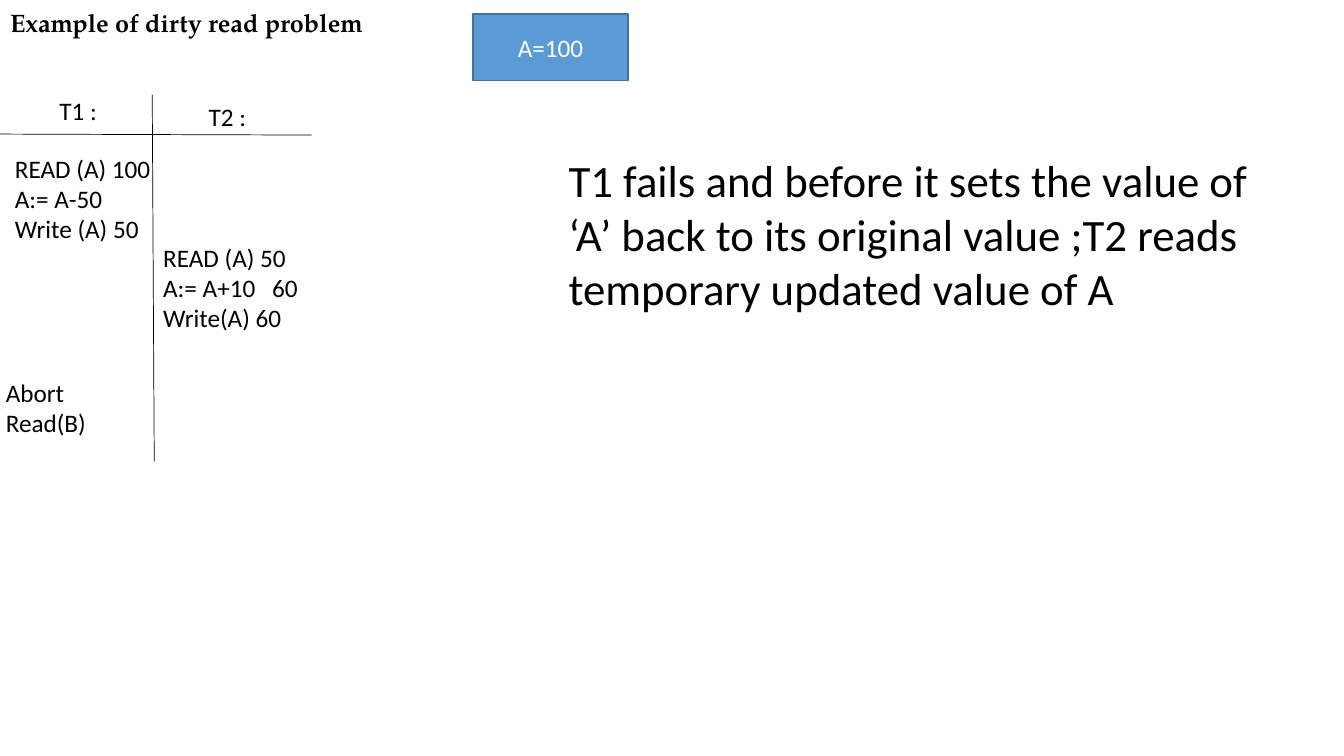
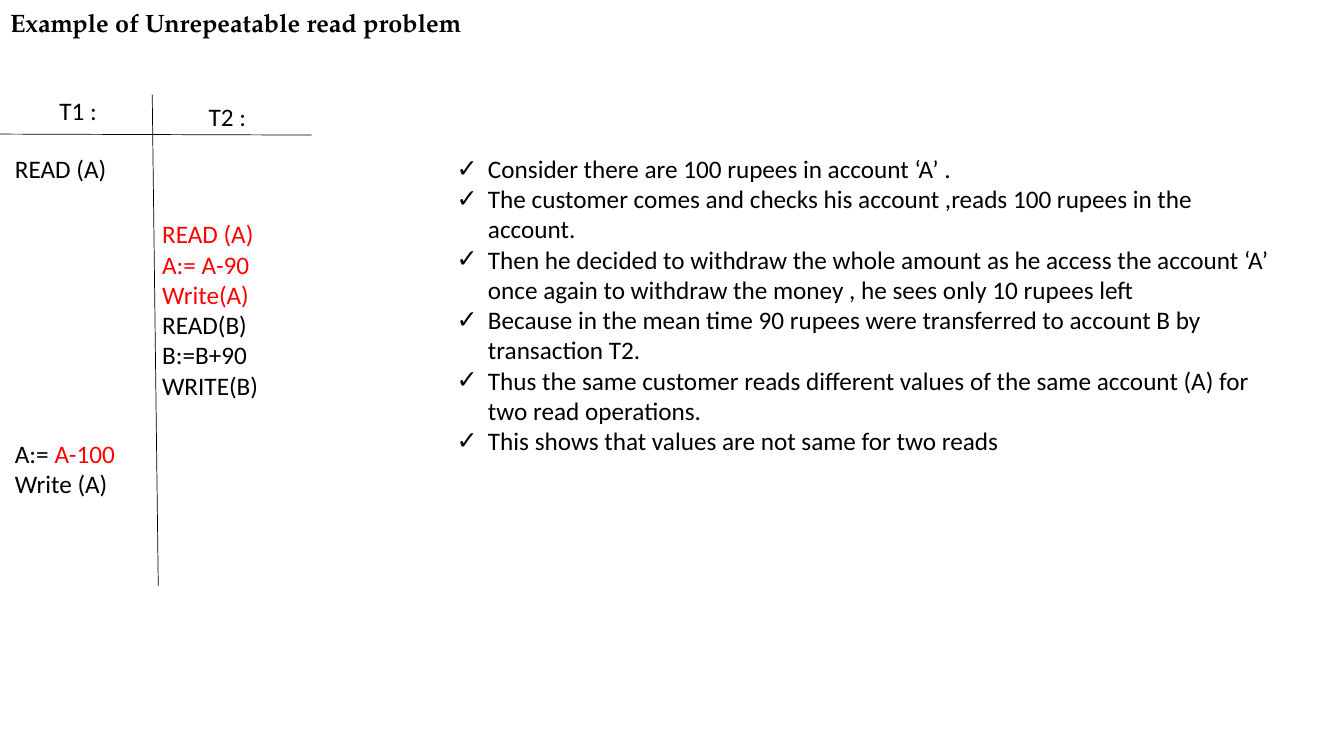
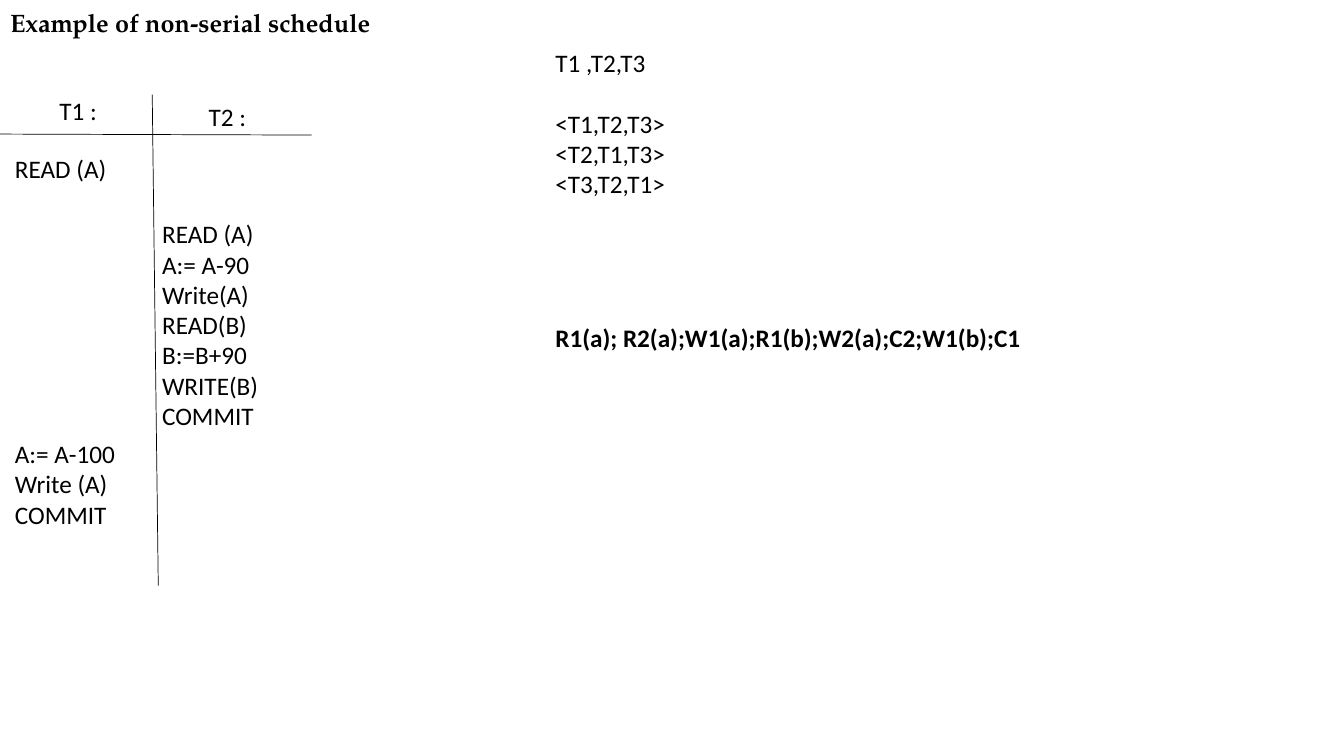
"""Build three slides on transaction schedules and read problems."""
from lxml import etree
from pptx import Presentation
from pptx import util as u
from pptx.dml.color import RGBColor
from pptx.enum import shapes, text
from pptx.oxml.ns import qn

PX = 9144
COLOURS = {"ink": "000000", "red": "FF0000", "white": "FFFFFF",
           "box": "5B9BD5", "box_edge": "43739E"}
BODY_FONT, TITLE_FONT = "Calibri", "TeX Gyre Pagella"
TITLE_ONLY, TITLE_AND_LIST = 5, 1
HEADERS = [("T1 :", (2, 90, 151, 40)), ("T2 :", (150, 96, 151, 40))]
STEP_WIDTH, STEP_LINE, STEP_PADDING = 243, 30, 10

T2_TRANSFER = ["READ (A)", "A:= A-90", "Write(A)", "READ(B)", "B:=B+90", "WRITE(B)"]
SCHEDULES = [
    {"title": "Example of dirty read problem",
     "divider_end": (153, 458),
     "steps": [
         (5, 147, ["READ (A) 100", "A:= A-50", "Write (A) 50"]),
         (152, 235, ["READ (A) 50", "A:= A+10\t60", "Write(A) 60"]),
         (-4, 369, ["Abort", "Read(B)"])],
     "start_value": ("A=100", (469, 14, 154, 66)),
     "remarks": ((554, 147, 719, 172), 32, [
         (0, False, ["T1 fails and before it sets the value of ‘A’ back to its "
                     "original value ;T2 reads temporary updated value of A"])])},
    {"title": "Example of Unrepeatable read problem",
     "divider_end": (157, 581),
     "steps": [
         (5, 147, ["READ (A)"]),
         (151, 212, [[(step, "red")] for step in T2_TRANSFER[:3]] + T2_TRANSFER[3:]),
         (5, 430, [[("A:= ", "ink"), ("A-100", "red")], "Write (A)"])],
     "points": ((443, 147, 830, 374), [
         "Consider there are 100 rupees in account ‘A’ .",
         "The customer comes and checks his account ,reads 100 rupees in the account.",
         "Then he decided to withdraw the whole amount as he access the account ‘A’ "
         "once again to withdraw the money , he sees only 10 rupees left",
         "Because in the mean time 90 rupees were transferred to account B by "
         "transaction T2.",
         "Thus the same customer reads different values of the same account (A) for "
         "two read operations.",
         "This shows that values are not same for two reads"])},
    {"title": "Example of non-serial schedule",
     "divider_end": (157, 581),
     "steps": [
         (5, 147, ["READ (A)"]),
         (151, 212, T2_TRANSFER + ["COMMIT"]),
         (5, 430, ["A:= A-100", "Write (A)", "COMMIT"])],
     "remarks": ((541, 42, 679, 343), 18, [
         (0, False, ["T1 ,T2,T3"]),
         (22, False, ["<T1,T2,T3>", "<T2,T1,T3>", "<T3,T2,T1>"]),
         (88, True, ["R1(a); R2(a);W1(a);R1(b);W2(a);C2;W1(b);C1"])])},
]


def colour(name):
    return RGBColor.from_string(COLOURS[name])


def place(shape, box):
    shape.left, shape.top, shape.width, shape.height = [v * PX for v in box]


def write(shape, lines, size=18, font=BODY_FONT, ink="ink", bold=False, align="LEFT",
          anchor="TOP", before=0, bullet=None, indent=31, tab=108):
    frame = shape.text_frame
    frame.word_wrap = True
    frame.auto_size = text.MSO_AUTO_SIZE.NONE
    frame.vertical_anchor = text.MSO_ANCHOR[anchor]
    for number, line in enumerate(lines):
        paragraph = frame.add_paragraph() if frame.text else frame.paragraphs[0]
        runs = [(line, ink)] if isinstance(line, str) else line
        properties = paragraph._p.get_or_add_pPr()
        if bullet:
            properties.set("marL", str(indent * PX))
            properties.set("indent", str(-indent * PX))
            etree.SubElement(properties, qn("a:buChar"), char=bullet)
        if any("\t" in words for words, _ in runs):
            stops = etree.SubElement(properties, qn("a:tabLst"))
            etree.SubElement(stops, qn("a:tab"), pos=str(tab * PX), algn="l")
        paragraph.alignment = text.PP_ALIGN[align]
        paragraph.space_before = u.Pt(0 if number else before)
        for words, shade in runs:
            run = paragraph.add_run()
            run.text = words
            run.font.name, run.font.size, run.font.bold = font, u.Pt(size), bold
            run.font.color.rgb = colour(shade)


def add_text(slide, box, lines=(), **style):
    label = slide.shapes.add_textbox(*[v * PX for v in box])
    write(label, lines, **style)
    return label


def add_rule(slide, start, end):
    rule = slide.shapes.add_connector(
        shapes.MSO_CONNECTOR.STRAIGHT, *[v * PX for v in start + end])
    rule.line.color.rgb = colour("ink")
    rule.line.width = u.Pt(0.5)
    etree.SubElement(rule._element.spPr, qn("a:effectLst"))


def add_start_value(slide, words, box):
    value = slide.shapes.add_shape(shapes.MSO_SHAPE.RECTANGLE, *[v * PX for v in box])
    value.shadow.inherit = False
    value.fill.solid()
    value.fill.fore_color.rgb = colour("box")
    value.line.color.rgb = colour("box_edge")
    value.line.width = u.Pt(1)
    write(value, [words], ink="white", align="CENTER", anchor="MIDDLE")


def add_schedule(deck, schedule):
    layout = TITLE_AND_LIST if "points" in schedule else TITLE_ONLY
    slide = deck.slides.add_slide(deck.slide_layouts[layout])
    title = slide.shapes.title
    place(title, (0, 2, 679, 40))
    write(title, [schedule["title"]], font=TITLE_FONT, bold=True)

    add_rule(slide, (151, 94), schedule["divider_end"])
    add_rule(slide, (-5, 133), (309, 134))
    for words, box in HEADERS:
        add_text(slide, box, [words], align="CENTER")
    for left, top, steps in schedule["steps"]:
        height = STEP_LINE * len(steps) + STEP_PADDING
        add_text(slide, (left, top, STEP_WIDTH, height), steps)

    if "start_value" in schedule:
        add_start_value(slide, *schedule["start_value"])
    if "points" in schedule:
        box, points = schedule["points"]
        explanation = slide.placeholders[1]
        place(explanation, box)
        write(explanation, points, bullet="✓")
    if "remarks" in schedule:
        box, size, groups = schedule["remarks"]
        remarks = add_text(slide, box)
        for before, bold, lines in groups:
            write(remarks, lines, size=size, bold=bold, before=before)


def main():
    deck = Presentation()
    deck.slide_width, deck.slide_height = 1333 * PX, 750 * PX
    for schedule in SCHEDULES:
        add_schedule(deck, schedule)
    deck.save("out.pptx")


if __name__ == "__main__":
    main()
